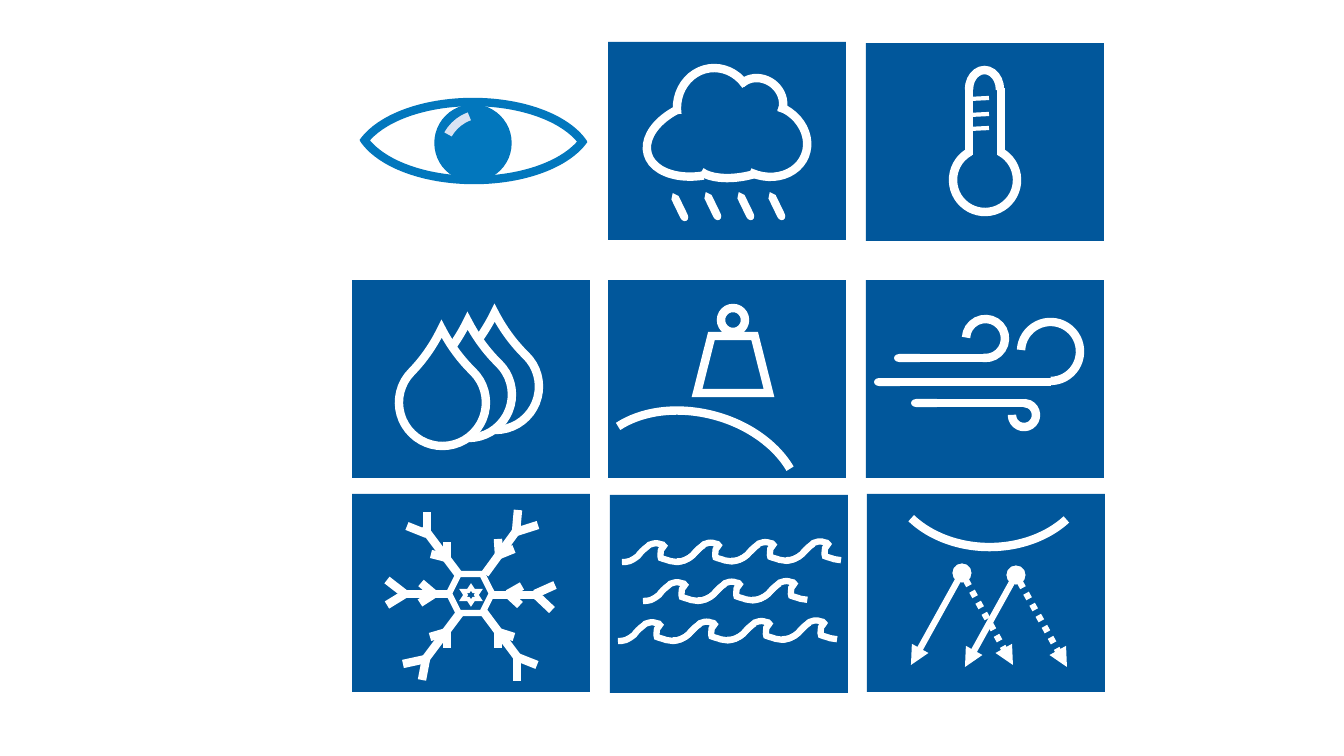
from lxml import etree
from pptx import Presentation
from pptx.dml.color import RGBColor
from pptx.enum.dml import MSO_LINE
from pptx.enum.shapes import MSO_CONNECTOR, MSO_SHAPE
from pptx.oxml.ns import qn
from pptx.util import Pt

ARC, OVAL, RECT = MSO_SHAPE.ARC, MSO_SHAPE.OVAL, MSO_SHAPE.RECTANGLE
DROP, DASH = MSO_SHAPE.TEAR, MSO_SHAPE.FLOWCHART_DISPLAY
WEIGHT = MSO_SHAPE.FLOWCHART_MANUAL_OPERATION
HEXAGON, STAR = MSO_SHAPE.HEXAGON, MSO_SHAPE.STAR_6_POINT
STRAIGHT, DOTS = MSO_CONNECTOR.STRAIGHT, MSO_LINE.ROUND_DOT

SCALE = 914400 / 100.8  # EMU per pixel
TILE = (238, 198)
NAVY, BLUE, WHITE, PALE = "01579B", "0277BD", "FFFFFF", "DAE3F3"
LID = (114.54, 209.97)

# Snowflake: six arms, and forks as (joint, tip, tip)
ARMS = [(485, 574, 520, 526), (424, 661, 460, 613), (518, 658, 483, 611),
        (459, 575, 423, 527), (492, 595, 537, 595), (404, 594, 450, 594)]
FORKS = [((516, 532), (538, 525), (518, 510)), ((426, 659), (403, 664), (422, 680)),
         ((517, 657), (517, 681), (537, 665)), ((427, 534), (427, 512), (407, 526)),
         ((535, 594), (552, 610), (555, 585)), ((405, 594), (387, 580), (387, 605)),
         ((508, 594), (520, 605), (522, 586)), ((434, 594), (421, 583), (420, 603)),
         ((447, 558), (447, 542), (431, 554)), ((499, 555), (514, 549), (498, 539)),
         ((447, 632), (430, 637), (447, 648)), ((498, 632), (498, 648), (514, 637))]
TWIGS = [joint + tip for joint, *tips in FORKS for tip in tips]

# Sea: Bezier points of one wave and of its tail, and rows as (x, y, count)
CREST = [(0, 0), (3, 0), (5, 0), (8, -1), (11, -2), (13, -4), (16, -6),
         (18, -9), (22, -13), (25, -15), (27, -17), (28, -18), (30, -18),
         (32, -19), (36, -19), (38, -18), (40, -18), (42, -17), (42, -16),
         (42, -15), (40, -14), (39, -12), (39, -10), (38, -6), (39, -4),
         (41, -3), (46, -2), (48, -1), (51, 0), (52, 0), (55, 0)]
TAIL = [(57, 0), (61, -1), (63, -2), (66, -3), (69, -5), (71, -7),
        (73, -9), (75, -11), (77, -13), (78, -14), (80, -16), (82, -17)]
ROWS = [(622, 562, 4), (618, 641, 4), (643, 601, 3)]
STEP, RISE = 54.7, -0.6

# Radar: source points of the ray pairs
RAYS = [(962, 573), (1016, 575)]

# Each icon: tile corner, parts (kind, box, options), lines (ends, options), caps
ICONS = {
    "eye": dict(parts=[
        (OVAL, (435, 105, 76, 76), dict(fill=BLUE, ink=BLUE, pen=1)),
        (ARC, (356, 102, 234, 123), dict(adj=LID, ink=BLUE)),
        (ARC, (357, 57, 234, 123), dict(turn=180, adj=LID, ink=BLUE)),
        (ARC, (443, 114, 80, 80), dict(turn=270, adj=(179.57, 204.09), ink=PALE))]),
    "rain": dict(tile=(608, 42), parts=[
        (ARC, (668, 79, 73, 118), dict(turn=254.3, adj=(118.07, 200.25))),
        (ARC, (734, 79, 50, 45), dict(turn=36.3, adj=(113.34, 209.9))),
        (ARC, (677, 68, 76, 82), dict(turn=352.1, adj=(108.05, 198.31))),
        (ARC, (730, 98, 72, 84), dict(turn=112.1, adj=(107.34, 2.81))),
        (ARC, (695, 131, 98, 45), dict(turn=167, adj=(151.91, 209.9)))],
        caps=[(664, 203), (697, 202), (730, 202), (761, 202)], tilt=64.1),
    "heat": dict(tile=(866, 43), parts=[
        (ARC, (953, 148, 64, 64), dict(turn=65.7, adj=(139.1, 105.57))),
        (ARC, (965, 74, 39, 31), dict(turn=270, adj=(161.78, 55.64)))],
        lines=[((x, 88, x, 155), {}) for x in (1001, 969)]
        + [((969, y, 989, y - 1), dict(pen=3)) for y in (99, 115, 129)]),
    "drops": dict(tile=(352, 280), parts=[
        (DROP, (x, y, 87, 87), dict(turn=314.3, adj=(1.2,), fill=fill))
        for x, y, fill in [(452, 343, None), (425, 351, NAVY), (399, 359, NAVY)]]),
    "pressure": dict(tile=(608, 280), parts=[
        (ARC, (587, 413, 215, 155), dict(turn=15.1, adj=(122.92, 199.26))),
        (OVAL, (721, 308, 24, 24), {}),
        (WEIGHT, (697, 336, 72, 57), dict(turn=180))]),
    "wind": dict(tile=(866, 280), parts=[
        (ARC, (1021, 322, 59, 59), dict(turn=92.6, adj=(54.17, 213.95))),
        (ARC, (1012, 403, 24, 24), dict(turn=176.3, adj=(57.21, 2.81))),
        (ARC, (966, 319, 39, 39), dict(turn=92.6, adj=(54.17, 2.81)))],
        lines=[((910, 358, 986, 358), {}), ((893, 382, 1051, 382), {}),
               ((931, 403, 1026, 403), {})],
        caps=[(894, 354), (874, 378), (911, 399)], tilt=180),
    "snow": dict(tile=(352, 494), parts=[
        (HEXAGON, (449, 574, 43, 39), dict(pen=4.5)),
        (STAR, (463, 587, 16, 16), dict(pen=3))],
        lines=[(ends, {}) for ends in ARMS + TWIGS]),
    "sea": dict(tile=(610, 495), rows=ROWS),
    "radar": dict(tile=(867, 494), parts=[
        (ARC, (889, 392, 201, 155), dict(turn=180, adj=(127.78, 196.9)))],
        lines=[((x, y, x + dx, y + 92), dict(pen=4.5, dash=dash, arrow=True))
               for x, y in RAYS for dx, dash in ((-51, None), (51, DOTS))]),
}


def emu(*nums):
    return [round(n * SCALE) for n in nums]


def rgb(code):
    return RGBColor.from_string(code)


def stroke(shape, ink=WHITE, pen=6, dash=None, arrow=False):
    shape.line.color.rgb = rgb(ink)
    shape.line.width = Pt(pen)
    if dash:
        shape.line.dash_style = dash
    ln = shape._element.spPr.find(qn("a:ln"))
    etree.SubElement(ln, qn("a:miter"), lim="800000")
    if arrow:
        etree.SubElement(ln, qn("a:headEnd"), type="oval")
        etree.SubElement(ln, qn("a:tailEnd"), type="triangle")


def paint(shape, fill=None, ink=WHITE, pen=6):
    shape.shadow.inherit = False
    if fill:
        shape.fill.solid()
        shape.fill.fore_color.rgb = rgb(fill)
    else:
        shape.fill.background()
    if ink:
        stroke(shape, ink, pen)
    else:
        shape.line.fill.background()


def add_part(shapes, kind, box, turn=0, adj=(), **look):
    shape = shapes.add_shape(kind, *emu(*box))
    shape.rotation = turn
    for i, value in enumerate(adj):
        shape.adjustments[i] = value
    paint(shape, **look)


def add_line(shapes, ends, **look):
    line = shapes.add_connector(STRAIGHT, *emu(*ends))
    stroke(line, **look)
    etree.SubElement(line._element.spPr, qn("a:effectLst"))


def bend(shape):
    """Turn each three straight segments into one Bezier curve."""
    lines = list(shape._element.iter(qn("a:lnTo")))
    for i in range(0, len(lines), 3):
        curve = etree.Element(qn("a:cubicBezTo"))
        lines[i].addprevious(curve)
        for line in lines[i:i + 3]:
            curve.append(line[0])
            line.getparent().remove(line)


def add_row(shapes, x, y, count):
    for i in range(count):
        wave = CREST + TAIL if i < count - 1 else CREST
        points = [emu(x + i * STEP + dx, y + i * RISE + dy) for dx, dy in wave]
        pen = shapes.build_freeform(*points[0])
        pen.add_line_segments(points[1:], close=False)
        shape = pen.convert_to_shape()
        bend(shape)
        paint(shape, pen=4.5)


deck = Presentation()
deck.slide_width, deck.slide_height = emu(1344, 756)
slide = deck.slides.add_slide(deck.slide_layouts[6])

# One group per icon
for icon in ICONS.values():
    shapes = slide.shapes.add_group_shape().shapes
    if "tile" in icon:
        add_part(shapes, RECT, icon["tile"] + TILE, fill=NAVY, ink=None)
    for kind, box, look in icon.get("parts", []):
        add_part(shapes, kind, box, **look)
    for ends, look in icon.get("lines", []):
        add_line(shapes, ends, **look)
    for corner in icon.get("caps", []):
        add_part(shapes, DASH, corner + (31, 8), turn=icon["tilt"], fill=WHITE, ink=None)
    for row in icon.get("rows", []):
        add_row(shapes, *row)

deck.save("out.pptx")
